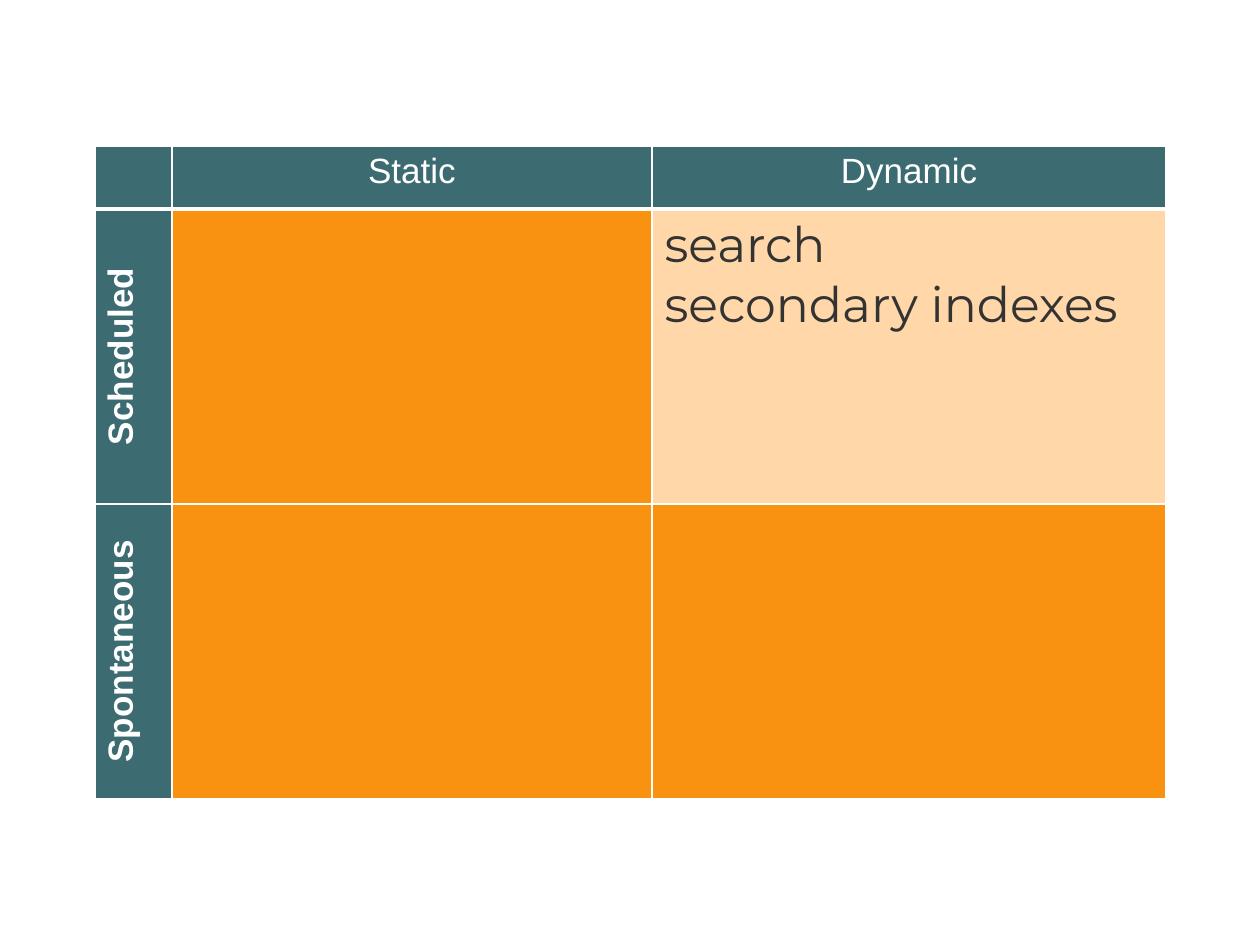
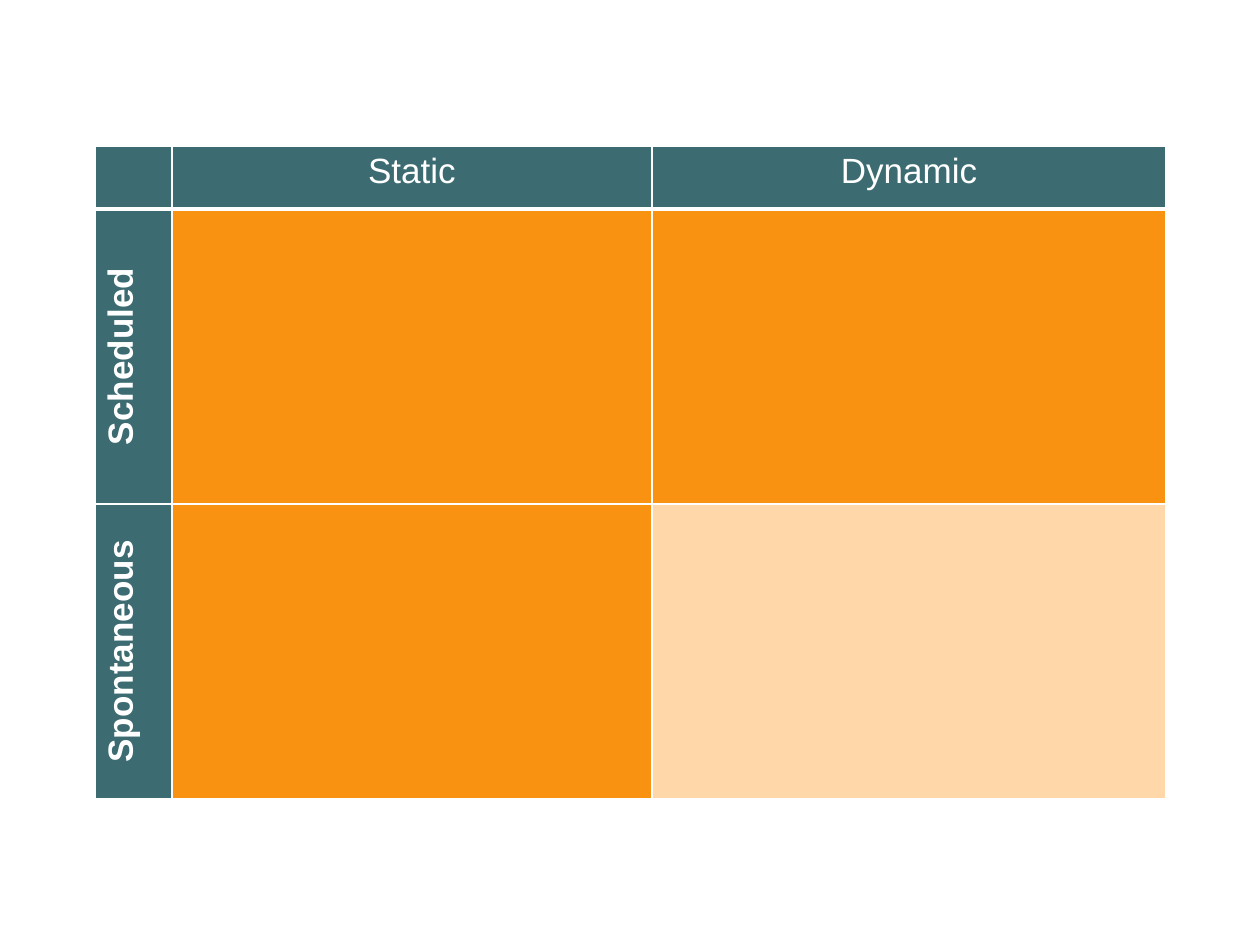
import pptx
import pptx.dml.color
import pptx.enum.text
import pptx.oxml
import pptx.oxml.ns
import pptx.util

PIXELS_PER_INCH = 126
SLIDE_SIZE = (1260, 945)
TABLE_BOX = (95, 146, 1071, 653)
LABEL_WIDTH, STATIC_WIDTH = 77, 480
HEADER_HEIGHT = 63

TEAL, ORANGE, PEACH = "3C6C72", "F89210", "FFD7A8"
WHITE, DARK = "FFFFFF", "333333"
COLUMN_LABELS = ("Static", "Dynamic")
ROW_LABELS = ("Scheduled", "Spontaneous")
BLANK_LAYOUT = 6


def px(length):
    return pptx.util.Emu(round(length * 914400 / PIXELS_PER_INCH))


def color(value):
    return pptx.dml.color.RGBColor.from_string(value)


def add_borders(cell, bottom_width):
    properties = cell._tc.get_or_add_tcPr()
    for side, width in (("L", 1), ("R", 1), ("T", 1), ("B", bottom_width)):
        properties.append(pptx.oxml.parse_xml(
            f'<a:ln{side} {pptx.oxml.ns.nsdecls("a")} w="{pptx.util.Pt(width)}">'
            f'<a:solidFill><a:srgbClr val="{WHITE}"/></a:solidFill></a:ln{side}>'))


def style_cell(cell, fill, bottom_width=1):
    add_borders(cell, bottom_width)
    cell.fill.solid()
    cell.fill.fore_color.rgb = color(fill)


def write_cell(cell, text, font_name, size, text_color, bold=False, centered=False):
    cell.text_frame.text = text
    for paragraph in cell.text_frame.paragraphs:
        if centered:
            paragraph.alignment = pptx.enum.text.PP_ALIGN.CENTER
        for run in paragraph.runs:
            run.font.name = font_name
            run.font.size = pptx.util.Pt(size)
            run.font.bold = bold
            run.font.color.rgb = color(text_color)


def write_label(cell, text, bold=False):
    write_cell(cell, text, "Arial", 20, WHITE, bold, centered=True)


def add_quadrant_table(slide, box, highlighted, text=""):
    """Draw the two-by-two matrix, with the (row, column) cell highlighted."""
    left, top, width, height = box
    table = slide.shapes.add_table(3, 3, px(left), px(top), px(width), px(height)).table
    widths = (LABEL_WIDTH, STATIC_WIDTH, width - LABEL_WIDTH - STATIC_WIDTH)
    for column, column_width in zip(table.columns, widths):
        column.width = px(column_width)
    body_height = (height - HEADER_HEIGHT) // 2
    for row, row_height in zip(table.rows, (HEADER_HEIGHT, body_height, body_height)):
        row.height = px(row_height)

    for row in range(3):
        for column in range(3):
            if row == 0 or column == 0:
                fill = TEAL
            else:
                fill = PEACH if (row, column) == highlighted else ORANGE
            style_cell(table.cell(row, column), fill, 3 if row == 0 else 1)

    for column, label in enumerate(COLUMN_LABELS, 1):
        write_label(table.cell(0, column), label)
    for row, label in enumerate(ROW_LABELS, 1):
        cell = table.cell(row, 0)
        cell._tc.get_or_add_tcPr().set("vert", "vert270")
        write_label(cell, label, bold=True)
    if text:
        write_cell(table.cell(*highlighted), text, "Montserrat", 28, DARK)


def main():
    presentation = pptx.Presentation()
    presentation.slide_width, presentation.slide_height = map(px, SLIDE_SIZE)
    for highlighted, text in (((1, 2), "search\nsecondary indexes"), ((2, 2), "")):
        slide = presentation.slides.add_slide(presentation.slide_layouts[BLANK_LAYOUT])
        add_quadrant_table(slide, TABLE_BOX, highlighted, text)
    presentation.save("out.pptx")


if __name__ == "__main__":
    main()
